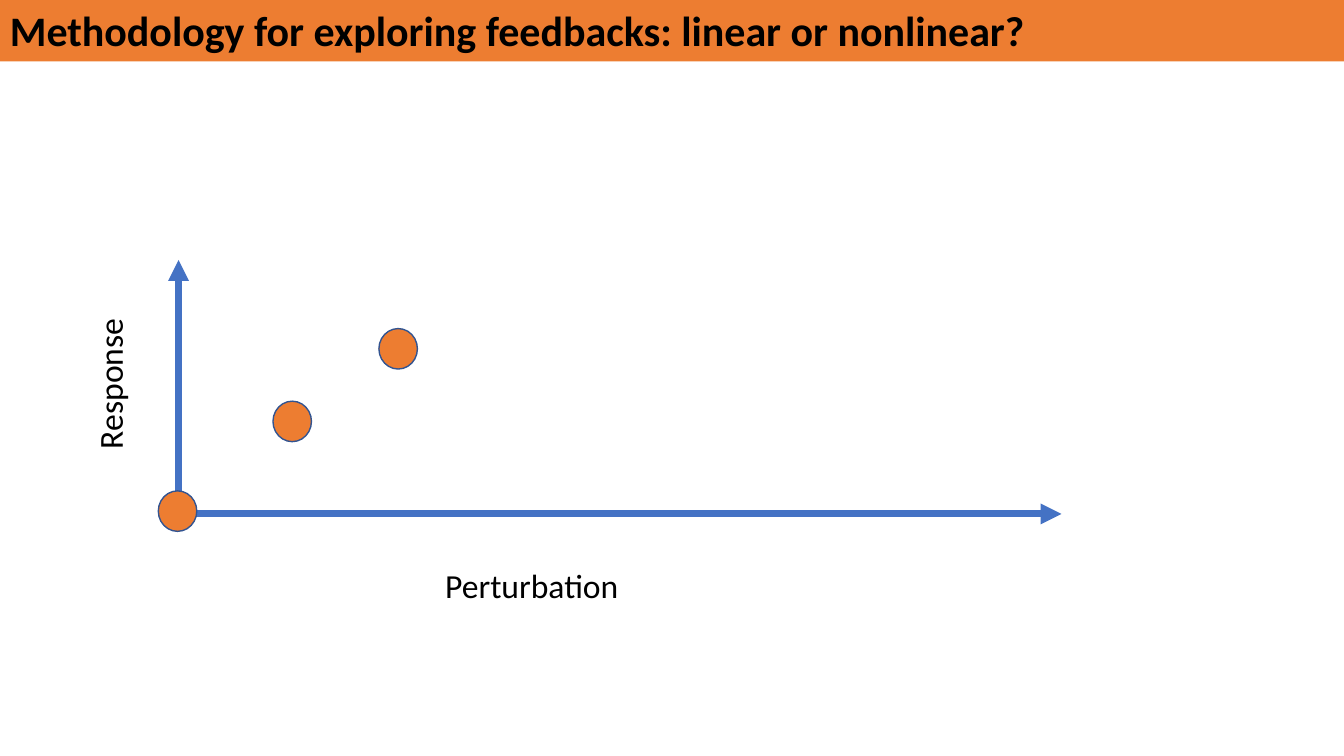
"""Build a slide with perturbation and response axes and three data points."""
from lxml import etree
from pptx import Presentation
from pptx.dml.color import RGBColor
from pptx.enum.shapes import MSO_CONNECTOR, MSO_SHAPE
from pptx.enum.text import MSO_ANCHOR, MSO_AUTO_SIZE, PP_ALIGN
from pptx.oxml.ns import qn
from pptx.util import Cm, Pt

ORANGE = RGBColor(0xED, 0x7D, 0x31)
BLUE = RGBColor(0x44, 0x72, 0xC4)
DARK_BLUE = RGBColor(0x32, 0x54, 0x91)
BLACK = RGBColor(0, 0, 0)
RECTANGLE, OVAL = MSO_SHAPE.RECTANGLE, MSO_SHAPE.OVAL
STRAIGHT = MSO_CONNECTOR.STRAIGHT
TOP, LEFT = MSO_ANCHOR.TOP, PP_ALIGN.LEFT
GROW = MSO_AUTO_SIZE.SHAPE_TO_FIT_TEXT

PAGE_WIDTH, PAGE_HEIGHT = 33.87, 19.05
ORIGIN_X, AXIS_Y = 4.5, 12.95
DOT_WIDTH, DOT_HEIGHT = 0.97, 1.02
DOTS = [(3.99, 12.37), (6.88, 10.11), (9.55, 8.28)]


def write(box, text, size=24, bold=False, color=BLACK, font="Calibri"):
    frame = box.text_frame
    frame.word_wrap = True
    frame.auto_size = GROW
    frame.vertical_anchor = TOP
    para = frame.paragraphs[0]
    para.alignment = LEFT
    span = para.add_run()
    span.text = text
    span.font.name = font
    span.font.size = Pt(size)
    span.font.bold = bold
    span.font.color.rgb = color


class Page:
    def __init__(self, slide):
        self.shapes = slide.shapes
        self.fill = ORANGE
        self.outline = DARK_BLUE
        self.axis_color = BLUE

    def shape(self, kind, left, top, width, height):
        shape = self.shapes.add_shape(kind, Cm(left), Cm(top), Cm(width), Cm(height))
        shape.shadow.inherit = False
        shape.fill.solid()
        shape.fill.fore_color.rgb = self.fill
        return shape

    def banner(self, text):
        box = self.shape(RECTANGLE, 0, 0, PAGE_WIDTH, 1.55)
        box.line.fill.background()
        write(box, text, size=30, bold=True)

    def axis(self, start, end):
        points = [Cm(value) for value in (*start, *end)]
        arrow = self.shapes.add_connector(STRAIGHT, *points)
        arrow.line.color.rgb = self.axis_color
        arrow.line.width = Pt(5)
        properties = arrow.line._get_or_add_ln()
        etree.SubElement(properties, qn("a:tailEnd"), type="triangle")
        etree.SubElement(arrow._element.spPr, qn("a:effectLst"))

    def label(self, text, left, top, rotation=0):
        box = self.shapes.add_textbox(Cm(left), Cm(top), Cm(12.29), Cm(1.28))
        box.rotation = rotation
        write(box, text)

    def dot(self, left, top):
        dot = self.shape(OVAL, left, top, DOT_WIDTH, DOT_HEIGHT)
        dot.line.color.rgb = self.outline
        dot.line.width = Pt(1)


def main():
    deck = Presentation()
    deck.slide_width, deck.slide_height = Cm(PAGE_WIDTH), Cm(PAGE_HEIGHT)
    page = Page(deck.slides.add_slide(deck.slide_layouts[6]))
    page.banner("Methodology for exploring feedbacks: linear or nonlinear?")
    page.axis((4.34, AXIS_Y), (26.75, AXIS_Y))
    page.axis((ORIGIN_X, AXIS_Y), (ORIGIN_X, 6.55))
    page.label("Perturbation", 10.97, 14.12)
    page.label("Response", -3.38, 4.78, rotation=270)
    for left, top in DOTS:
        page.dot(left, top)
    deck.save("out.pptx")


if __name__ == "__main__":
    main()
